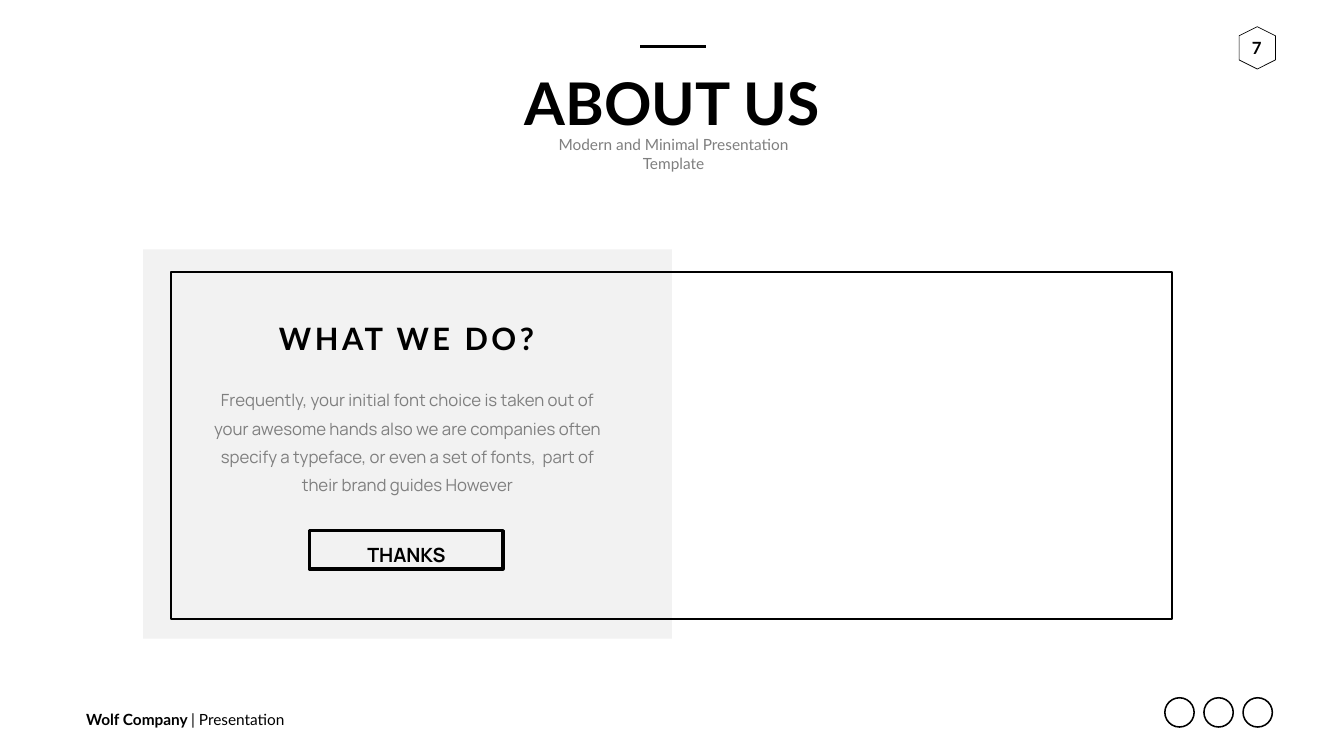
from lxml import etree
from pptx import Presentation, util as u
from pptx.dml.color import RGBColor
from pptx.enum import shapes, text
from pptx.oxml.ns import qn

WIDTH, HEIGHT = u.Inches(26.66), u.Inches(15)
BLACK, GREY, PALE = "000000", "7F7F7F", "F2F2F2"
BODY = ("Frequently, your initial font choice is taken out of your awesome hands "
        "also we are companies often specify a typeface, or even a set of fonts,  "
        "part of their brand guides However")


def color(hex_code):
    return RGBColor.from_string(hex_code)


def box(left, top, width, height):
    """Turn percentages of the slide's size into lengths."""
    return [round(share * side / 100) for share, side in
            zip((left, top, width, height), (WIDTH, HEIGHT, WIDTH, HEIGHT))]


def add_outline(s, kind, place, line=None, fill=None):
    sp = s.shapes.add_shape(kind, *box(*place))
    sp.shadow.inherit = False
    if fill:
        sp.fill.solid()
        sp.fill.fore_color.rgb = color(fill)
    else:
        sp.fill.background()
    if line:
        sp.line.color.rgb = color(BLACK)
        sp.line.width = u.Pt(line)
    else:
        sp.line.fill.background()
    return sp


def add_rule(s, left, right, y, width):
    x1, y1, x2, y2 = box(left, y, right, y)
    rule = s.shapes.add_connector(shapes.MSO_CONNECTOR.STRAIGHT, x1, y1, x2, y2)
    rule.line.color.rgb = color(BLACK)
    rule.line.width = u.Pt(width)
    etree.SubElement(rule._element.spPr, qn("a:effectLst"))


def add_text(s, place, runs, size, font="Lato", ink=BLACK, align="CENTER",
             anchor="MIDDLE", wrap=False, insets=(0.1, 0.05), leading=None,
             tracking=None):
    """Add one paragraph; runs are (wording, bold), tracking is in points."""
    tf = s.shapes.add_textbox(*box(*place)).text_frame
    tf.word_wrap = wrap
    tf.vertical_anchor = text.MSO_ANCHOR[anchor]
    tf.margin_left = tf.margin_right = u.Inches(insets[0])
    tf.margin_top = tf.margin_bottom = u.Inches(insets[1])
    p = tf.paragraphs[0]
    p.alignment = text.PP_ALIGN[align]
    if leading:
        p.line_spacing = u.Pt(leading)
    for wording, bold in runs:
        r = p.add_run()
        r.text = wording
        r.font.name, r.font.size, r.font.bold = font, u.Pt(size), bold
        r.font.color.rgb = color(ink)
        if tracking:
            r.font._element.set("spc", str(tracking * 100))


def add_footer(s):
    add_text(s, (6.04, 93.53, 15.64, 3.13),
             [("Wolf Company ", True), ("| Presentation", False)], 22, align="LEFT")
    for i in range(3):
        add_outline(s, shapes.MSO_SHAPE.OVAL, (86.67 + 2.91 * i, 92.3, 2.18, 3.87), 2.2)


def add_page_number(s):
    badge = add_outline(s, shapes.MSO_SHAPE.HEXAGON, (91.97, 3.93, 3.15, 4.8), 1)
    badge.rotation = 90
    add_text(s, (91.73, 4.33, 3.56, 4.07), [("7", True)], 24,
             anchor="TOP", insets=(0.2, 0.1))


def add_header(s):
    add_text(s, (38.63, 8.53, 22.77, 10.07), [("ABOUT US", True)], 84, anchor="TOP")
    add_text(s, (38.93, 18.8, 22.36, 3.13),
             [("Modern and Minimal Presentation Template", False)], 22,
             ink=GREY, wrap=True)
    add_rule(s, 47.64, 52.51, 6.13, 4.5)


def add_about_panel(s):
    rect = shapes.MSO_SHAPE.RECTANGLE
    add_outline(s, rect, (10.65, 33, 39.35, 51.47), fill=PALE)
    add_text(s, (20.71, 39.33, 19.09, 7.93), [("WHAT WE DO?", True)], 44,
             insets=(0, 0), leading=85, tracking=5)
    add_text(s, (14.78, 49.73, 31.06, 16.53), [(BODY, False)], 24, "Manrope", GREY,
             anchor="TOP", wrap=True, insets=(0.24, 0.12), leading=40.4)
    add_outline(s, rect, (23.03, 70.2, 14.4, 5.07), 4.5)
    add_text(s, (26.86, 71.47, 6.75, 3.8), [("THANKS", True)], 28, "Manrope")
    add_outline(s, rect, (12.72, 35.93, 74.49, 45.93), 2.8)


def main():
    prs = Presentation()
    prs.slide_width, prs.slide_height = WIDTH, HEIGHT
    s = prs.slides.add_slide(prs.slide_layouts[6])
    add_footer(s)
    add_page_number(s)
    add_header(s)
    add_about_panel(s)
    prs.save("out.pptx")


if __name__ == "__main__":
    main()
